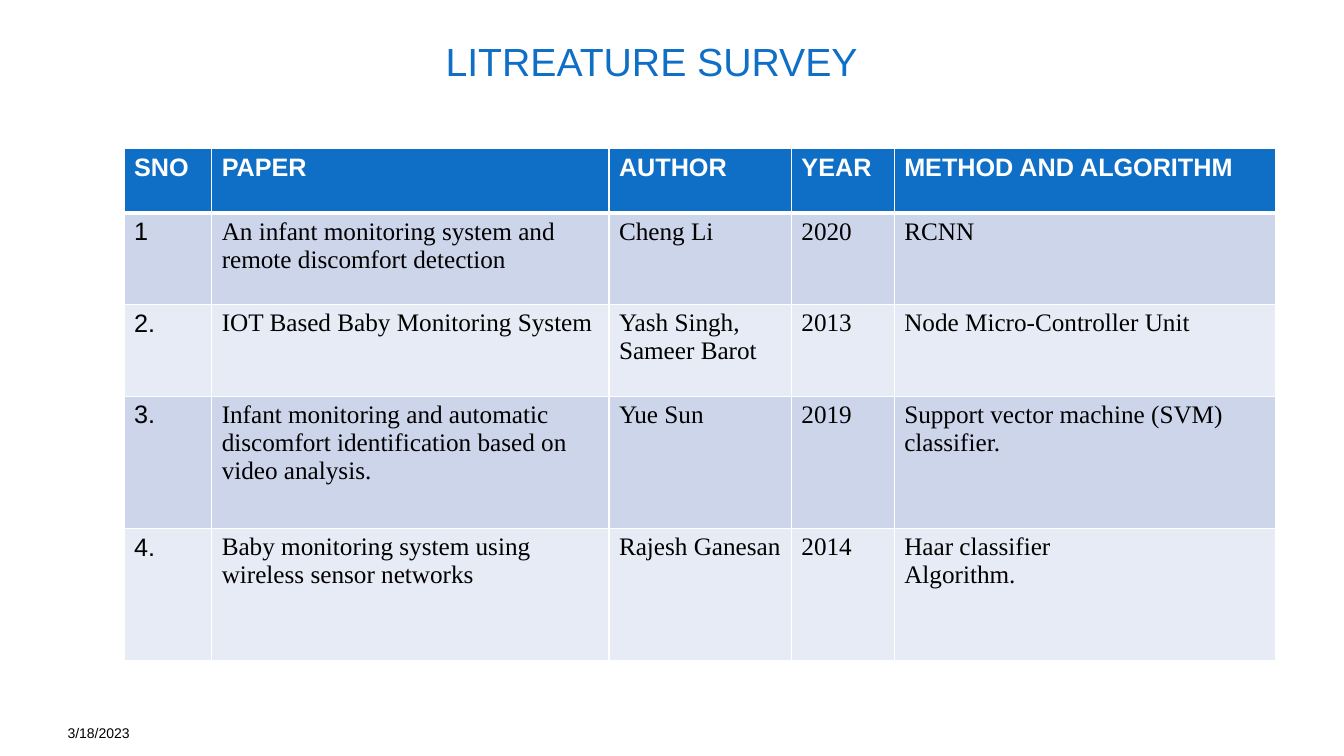
from dataclasses import dataclass

from lxml import etree
from pptx import Presentation
from pptx.dml.color import RGBColor
from pptx.enum.text import MSO_ANCHOR
from pptx.oxml.ns import qn
from pptx.util import Inches, Pt

BOTTOM = MSO_ANCHOR.BOTTOM
SLIDE_SIZE = (13.33, 7.5)
TABLE_ORIGIN = (1.23, 1.47)
COLUMN_WIDTHS = (0.87, 3.94, 1.81, 1.02, 3.78)
ROW_HEIGHTS = (0.64, 0.91, 0.91, 1.31, 1.31)
SURVEY = (
    ("SNO", "PAPER", "AUTHOR", "YEAR", "METHOD AND ALGORITHM"),
    ("1", "An infant monitoring system and remote discomfort detection",
     "Cheng Li", "2020", "RCNN"),
    ("2.", "IOT Based Baby Monitoring System",
     "Yash Singh, Sameer Barot", "2013", "Node Micro-Controller Unit"),
    ("3.", "Infant monitoring and automatic discomfort identification based on video analysis.",
     "Yue Sun", "2019", "Support vector machine (SVM) classifier."),
    ("4.", "Baby monitoring system using wireless sensor networks",
     "Rajesh Ganesan", "2014", "Haar classifier\nAlgorithm."),
)


@dataclass(frozen=True)
class Theme:
    """Colours, fonts and type sizes of the slide."""
    accent: str = "0F6FC6"
    white: str = "FFFFFF"
    black: str = "000000"
    bands: tuple = ("CCD5EA", "E7EBF5")
    sans: str = "Arial"
    serif: str = "Times New Roman"
    title_size: int = 28
    table_size: int = 18
    date_size: int = 10
    thin_border: int = 1
    thick_border: int = 3


THEME = Theme()


def write_text(text_frame, text, color, **font_format):
    """Fill a text frame and format each of its paragraphs."""
    text_frame.text = text
    for paragraph in text_frame.paragraphs:
        for run in paragraph.runs:
            run.font.color.rgb = RGBColor.from_string(color)
            for name, value in font_format.items():
                setattr(run.font, name, value)


def add_label(slide, text, box, size, color, top_inset=0):
    """Add a bottom-anchored line of text."""
    shape = slide.shapes.add_textbox(*map(Inches, box))
    frame_format = {
        "word_wrap": True, "vertical_anchor": BOTTOM, "margin_left": 0,
        "margin_right": 0, "margin_bottom": 0, "margin_top": Inches(top_inset),
    }
    for name, value in frame_format.items():
        setattr(shape.text_frame, name, value)
    write_text(shape.text_frame, text, color, name=THEME.sans, size=Pt(size))


def set_borders(cell, widths):
    """Draw white cell borders, with widths in points by side."""
    properties = cell._tc.get_or_add_tcPr()
    for side, width in widths.items():
        line = etree.SubElement(properties, qn(f"a:ln{side}"), w=str(Pt(width)))
        fill = etree.SubElement(line, qn("a:solidFill"))
        etree.SubElement(fill, qn("a:srgbClr"), val=THEME.white)


def style_cell(cell, text, row, column):
    """Write one survey cell by the rules for its row and column."""
    header = row == 0
    borders = dict.fromkeys("LRTB", THEME.thin_border)
    if header:
        borders["B"] = THEME.thick_border
    elif row == 1:
        borders["T"] = THEME.thick_border
    set_borders(cell, borders)
    cell.fill.solid()
    background = THEME.accent if header else THEME.bands[(row - 1) % 2]
    cell.fill.fore_color.rgb = RGBColor.from_string(background)
    write_text(
        cell.text_frame, text, THEME.white if header else THEME.black,
        name=THEME.sans if header or column == 0 else THEME.serif,
        size=Pt(THEME.table_size), bold=header,
    )


def add_survey_table(slide):
    """Add the table of surveyed papers."""
    box = (*TABLE_ORIGIN, sum(COLUMN_WIDTHS), sum(ROW_HEIGHTS))
    table = slide.shapes.add_table(
        len(ROW_HEIGHTS), len(COLUMN_WIDTHS), *map(Inches, box)).table
    for column, width in zip(table.columns, COLUMN_WIDTHS):
        column.width = Inches(width)
    for row, height in zip(table.rows, ROW_HEIGHTS):
        row.height = Inches(height)
    for row, texts in enumerate(SURVEY):
        for column, text in enumerate(texts):
            style_cell(table.cell(row, column), text, row, column)


def main():
    """Build the literature survey slide."""
    presentation = Presentation()
    presentation.slide_width, presentation.slide_height = map(Inches, SLIDE_SIZE)
    slide = presentation.slides.add_slide(presentation.slide_layouts[6])
    add_label(slide, "LITREATURE SURVEY", (4.42, 0.29, 5.04, 0.55),
              THEME.title_size, THEME.accent, top_inset=0.05)
    add_label(slide, "3/18/2023", (0.67, 6.95, 3.11, 0.4),
              THEME.date_size, THEME.black)
    add_survey_table(slide)
    presentation.save("out.pptx")


if __name__ == "__main__":
    main()
